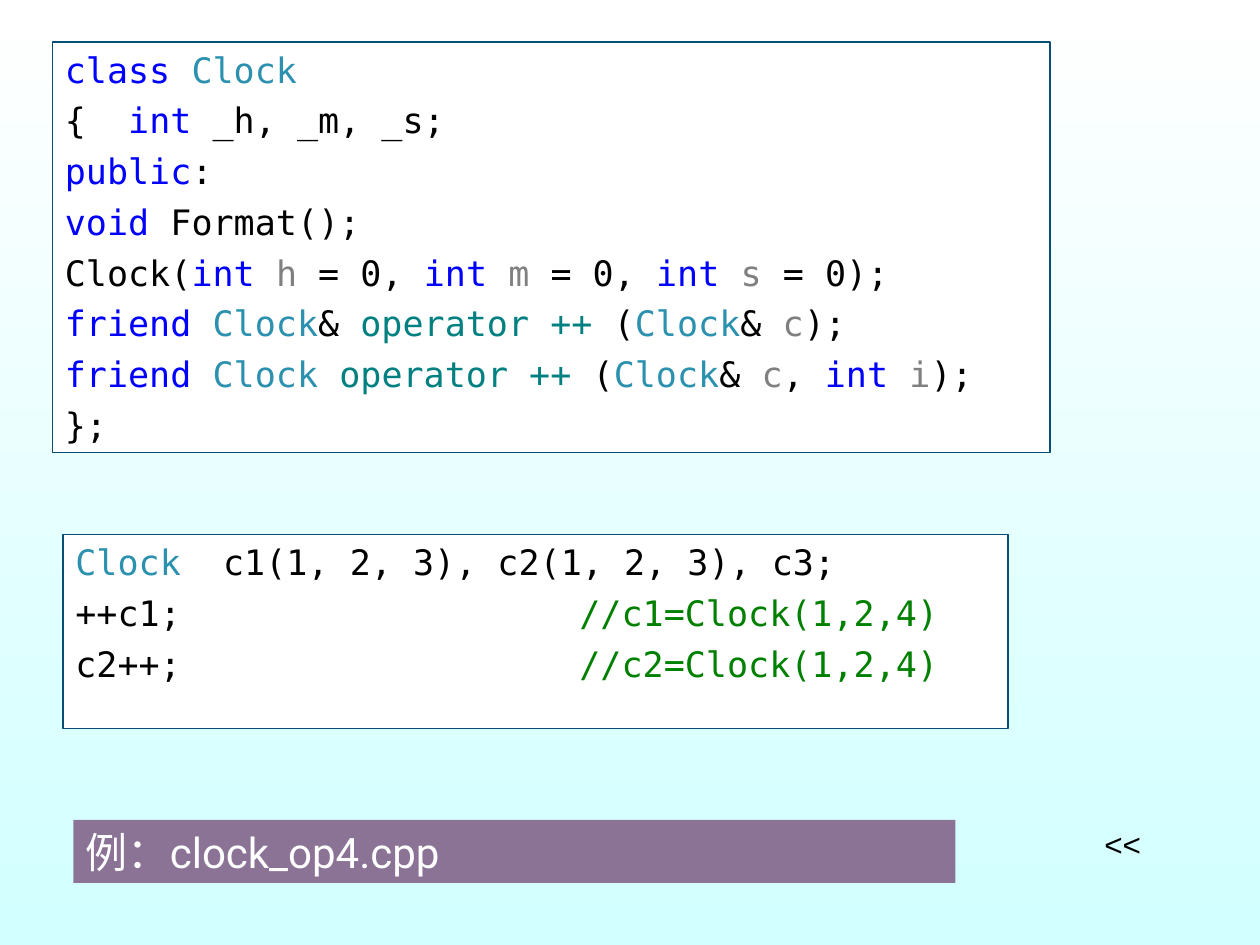
from dataclasses import dataclass

from lxml.etree import SubElement
from pptx import Presentation
from pptx.dml.color import RGBColor as Rgb
from pptx.enum.shapes import MSO_SHAPE as Shape
from pptx.enum.text import MSO_ANCHOR as Anchor, PP_ALIGN as Align
from pptx.oxml.ns import qn
from pptx.util import Inches, Pt

COLS, ROWS = 120, 90  # grid over the whole slide


@dataclass(frozen=True)
class Theme:
    sky: tuple = ("FFFFFF", "D2FFFF")
    edge: str = "064E74"
    paper: str = "FFFFFF"
    band: str = "8B7396"
    ink: str = "000000"
    word: str = "0000FF"
    kind: str = "2B91AF"
    arg: str = "808080"
    oper: str = "008080"
    note: str = "008000"
    mono: str = "DejaVu Sans Mono"
    sans: str = "Roboto"
    plain: str = "Arial"
    code: float = 20
    label: float = 24
    mark: float = 18
    gap: float = 5
    rule: float = 0.75


@dataclass(frozen=True)
class Area:
    col: float
    row: float
    wide: float
    high: float


@dataclass(frozen=True)
class Part:
    text: str
    color: str


T = Theme()
Line = list[Part]


def ink(text: str) -> Part:
    return Part(text, T.ink)


def word(text: str) -> Part:
    return Part(text, T.word)


def kind(text: str) -> Part:
    return Part(text, T.kind)


def arg(text: str) -> Part:
    return Part(text, T.arg)


def param(name: str) -> Line:
    return [word("int "), arg(name)]


OPER = Part("operator ++", T.oper)
CLOCK_REF = [ink(" ("), kind("Clock"), ink("& "), arg("c")]

HEADER: list[Line] = [
    [word("class "), kind("Clock")],
    [ink("{  "), word("int"), ink(" _h, _m, _s;")],
    [word("public"), ink(":")],
    [word("void"), ink(" Format();")],
    [ink("Clock("), *param("h"), ink(" = 0, "), *param("m"), ink(" = 0, "),
     *param("s"), ink(" = 0);")],
    [word("friend "), kind("Clock"), ink("& "), OPER, *CLOCK_REF, ink(");")],
    [word("friend "), kind("Clock "), OPER, *CLOCK_REF, ink(", "),
     *param("i"), ink(");")],
    [ink("};")],
]
USAGE: list[Line] = [
    [kind("Clock"), ink("  c1(1, 2, 3), c2(1, 2, 3), c3;")],
    [ink("++c1;\t"), Part("//c1=Clock(1,2,4)", T.note)],
    [ink("c2++;\t"), Part("//c2=Clock(1,2,4)", T.note)],
]


def place(prs, area: Area) -> tuple[int, int, int, int]:
    """Turn grid units into slide lengths."""
    dx, dy = prs.slide_width / COLS, prs.slide_height / ROWS
    return (round(area.col * dx), round(area.row * dy),
            round(area.wide * dx), round(area.high * dy))


def add_tab(para, inches: float) -> None:
    tabs = SubElement(para._p.get_or_add_pPr(), qn("a:tabLst"))
    SubElement(tabs, qn("a:tab"), pos=str(Inches(inches)), algn="l")


def write(frame, lines: list[Line], font: str, size: float) -> None:
    frame.vertical_anchor = Anchor.TOP
    frame.text = "\n".join("" for _ in lines)
    for index, (para, line) in enumerate(zip(frame.paragraphs, lines)):
        para.alignment = Align.LEFT
        if index:
            para.space_before = Pt(T.gap)
        if any("\t" in part.text for part in line):
            add_tab(para, 4)
        for part in line:
            run = para.add_run()
            run.text = part.text
            run.font.name = font
            run.font.size = Pt(size)
            run.font.color.rgb = Rgb.from_string(part.color)


def add_box(prs, slide, area: Area, fill: str, edge: str | None = None):
    box = slide.shapes.add_shape(Shape.RECTANGLE, *place(prs, area))
    box.shadow.inherit = False
    box.fill.solid()
    box.fill.fore_color.rgb = Rgb.from_string(fill)
    if edge:
        box.line.color.rgb = Rgb.from_string(edge)
        box.line.width = Pt(T.rule)
    else:
        box.line.fill.background()
    box.text_frame.word_wrap = True
    return box.text_frame


def paint(slide) -> None:
    fill = slide.background.fill
    fill.gradient()
    fill.gradient_angle = 270
    for stop, color, pos in zip(fill.gradient_stops, T.sky, (0, 1)):
        stop.color.rgb = Rgb.from_string(color)
        stop.position = pos


def main() -> None:
    prs = Presentation()
    prs.slide_width, prs.slide_height = Inches(10), Inches(7.5)
    slide = prs.slides.add_slide(prs.slide_layouts[6])
    paint(slide)

    for area, lines in ((Area(5, 4, 95, 39.1), HEADER),
                        (Area(6, 50.9, 90, 18.5), USAGE)):
        frame = add_box(prs, slide, area, T.paper, T.edge)
        write(frame, lines, T.mono, T.code)

    mark = slide.shapes.add_textbox(*place(prs, Area(104, 78, 5.9, 4.8)))
    mark.text_frame.word_wrap = False
    write(mark.text_frame, [[ink("<<")]], T.plain, T.mark)

    label = add_box(prs, slide, Area(7, 78.1, 84, 6), T.band)
    write(label, [[Part("例：clock_op4.cpp", T.paper)]], T.sans, T.label)
    prs.save("out.pptx")


if __name__ == "__main__":
    main()
